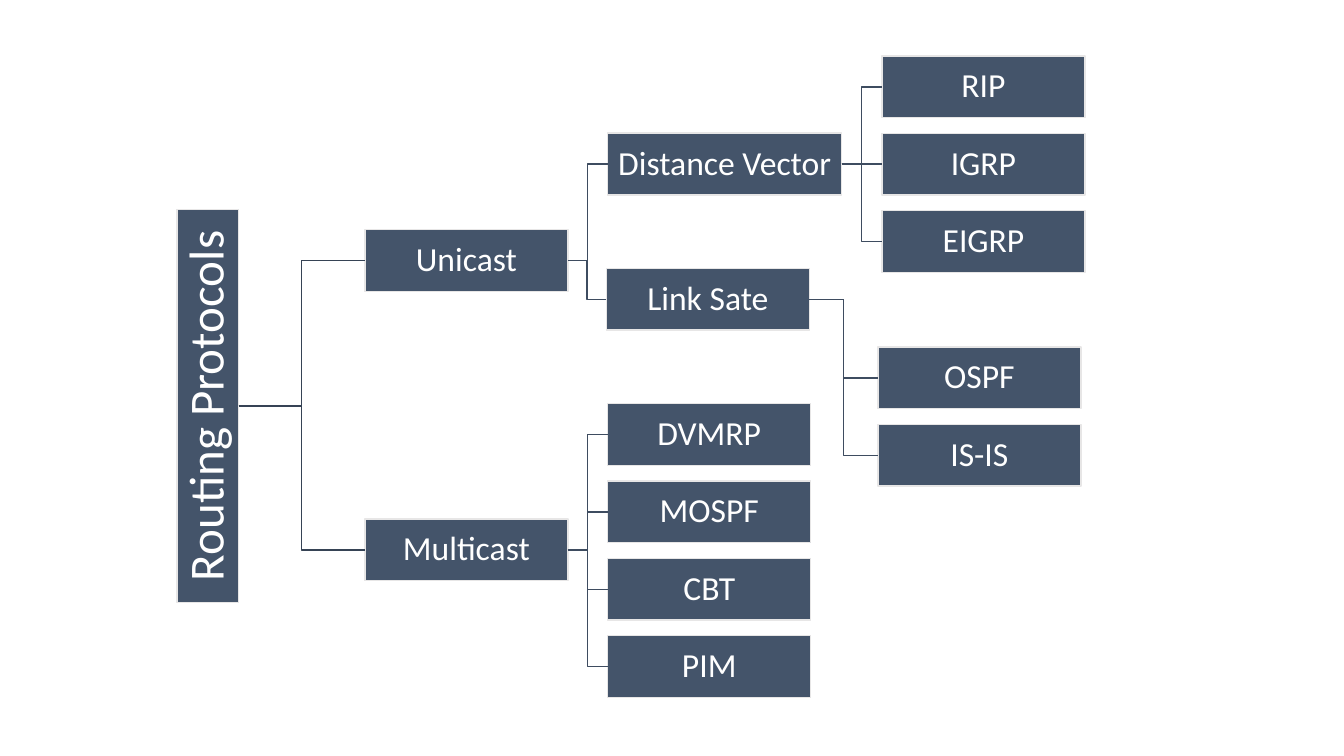
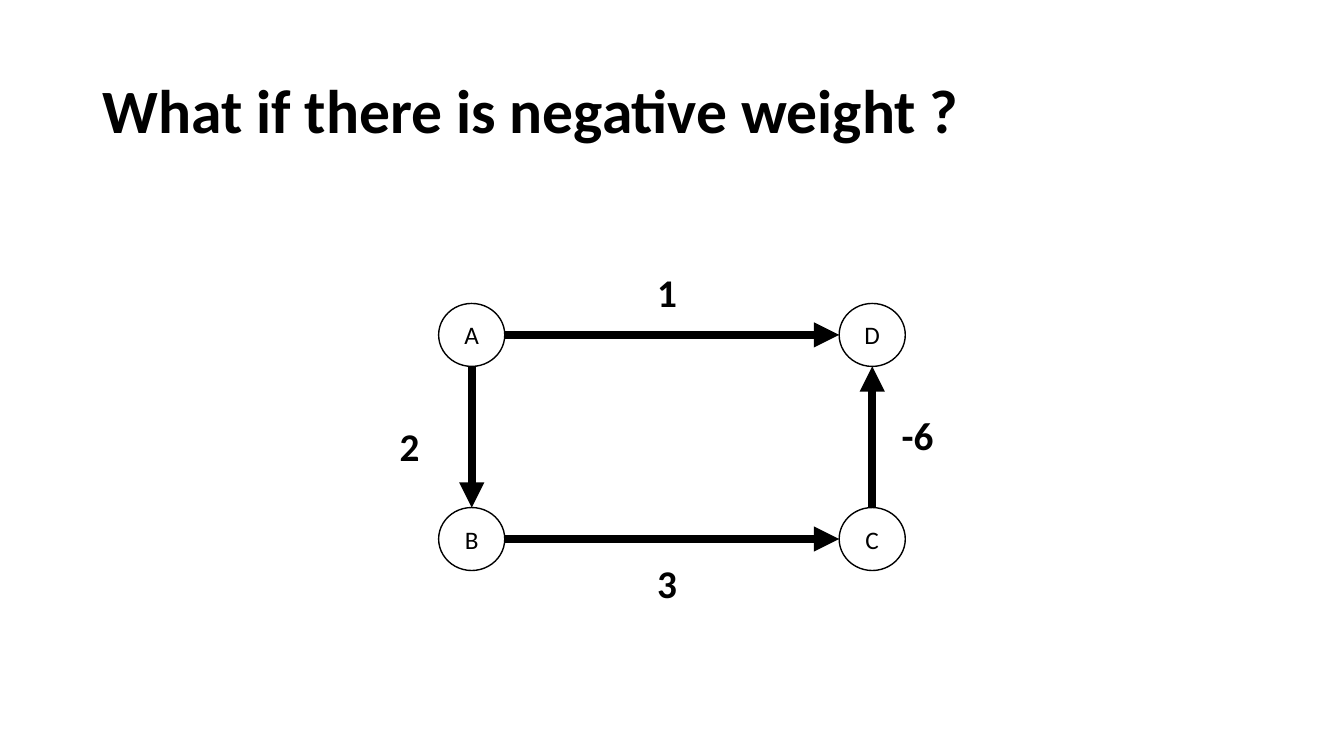
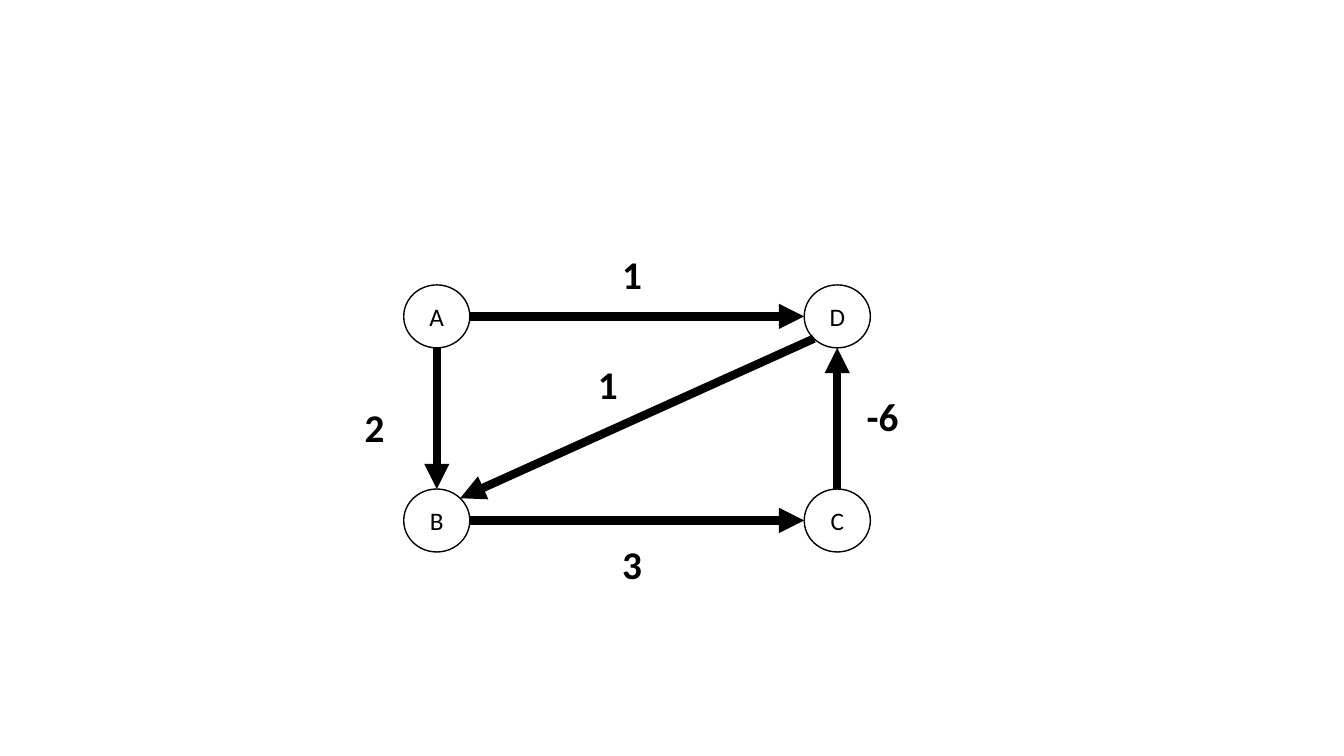
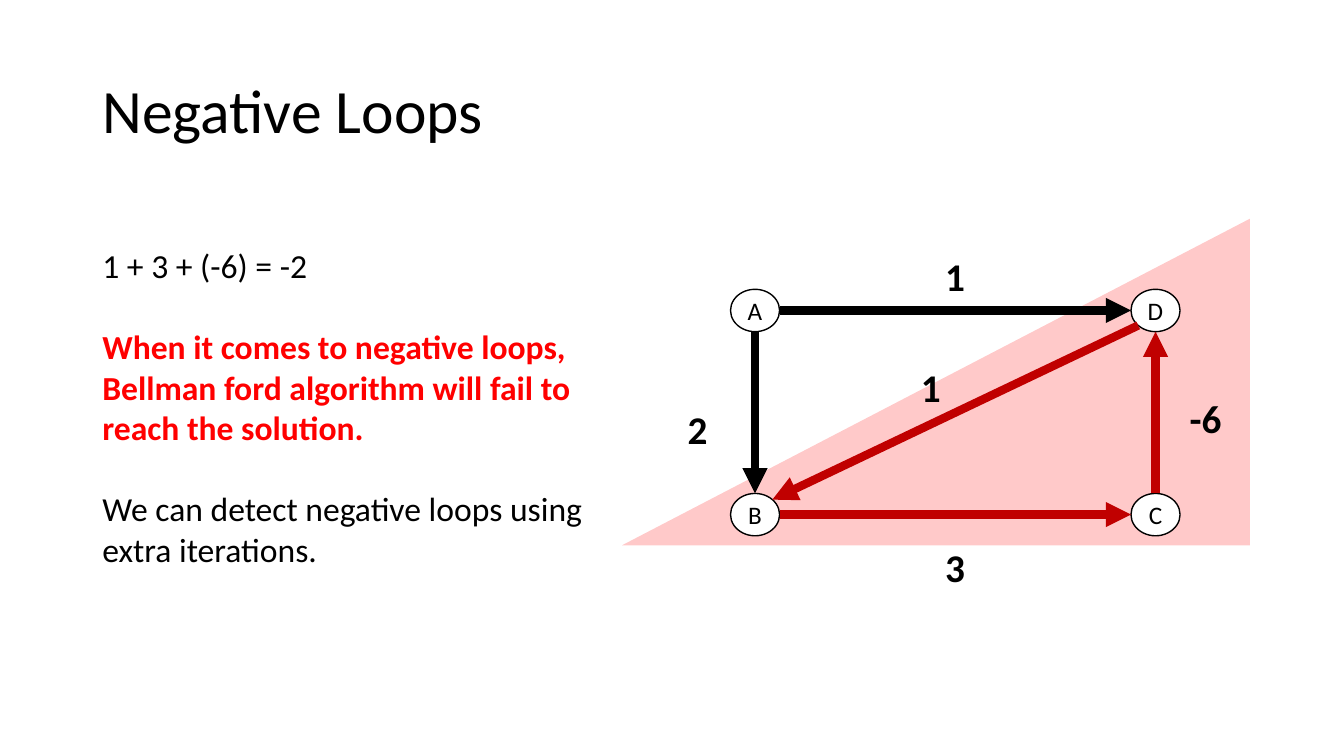
from math import sqrt

from pptx import Presentation
from pptx import util as u
from pptx.dml.color import RGBColor
from pptx.enum import shapes, text
from pptx.oxml import ns, xmlchemy
from pptx.shapes.connector import Connector

BLACK, WHITE, RED, DARK_RED = "000000", "FFFFFF", "FF0000", "C00000"
SLATE, PALE, ROOT_LINE, BRANCH_LINE = "44546A", "E7E6E6", "364355", "3E4C60"
FONT = "Calibri"
LEFT, CENTER = text.PP_ALIGN.LEFT, text.PP_ALIGN.CENTER
rgb = RGBColor.from_string

presentation = Presentation()
presentation.slide_width, presentation.slide_height = u.Inches(13.33), u.Inches(7.5)
blank = presentation.slide_layouts[6]


def grid(*lengths):
    """Turn column, row, column, row... of a 100 x 100 slide grid into EMU."""
    sides = (presentation.slide_width, presentation.slide_height)
    return [round(length * sides[i % 2] / 100) for i, length in enumerate(lengths)]


def write(shape, content, size, color=BLACK, bold=False, align=LEFT, spacing=1.0,
          anchor=text.MSO_ANCHOR.MIDDLE):
    frame = shape.text_frame
    frame.text = content
    frame.word_wrap = True
    frame.vertical_anchor = anchor
    for paragraph in frame.paragraphs:
        paragraph.alignment, paragraph.line_spacing = align, spacing
        font = paragraph.runs[0].font
        font.name, font.size, font.bold = FONT, u.Pt(size), bold
        font.color.rgb = rgb(color)


# Slide 1: protocol tree
BOX_WIDTH, BOX_HEIGHT = 15.1, 8.18
LEAF_PITCH = 1.25 * BOX_HEIGHT
# parent, left, first top, pitch, width, height, names
branches = [
    (None, 13.16, 27.7, 0, 4.6, 52, ["Routing Protocols"]),
    ("Routing Protocols", 27.15, 30.4, 38.25, BOX_WIDTH, BOX_HEIGHT, ["Unicast", "Multicast"]),
    ("Unicast", 45.22, 17.62, 0, 17.4, BOX_HEIGHT, ["Distance Vector"]),
    ("Unicast", 45.12, 35.5, 0, BOX_WIDTH, BOX_HEIGHT, ["Link Sate"]),
    ("Distance Vector", 65.62, 7.4, LEAF_PITCH, BOX_WIDTH, BOX_HEIGHT, ["RIP", "IGRP", "EIGRP"]),
    ("Link Sate", 65.32, 45.9, LEAF_PITCH, BOX_WIDTH, BOX_HEIGHT, ["OSPF", "IS-IS"]),
    ("Multicast", 45.22, 53.4, LEAF_PITCH, BOX_WIDTH, BOX_HEIGHT,
     ["DVMRP", "MOSPF", "CBT", "PIM"]),
]
slide = presentation.slides.add_slide(blank)
boxes = {}
for parent, left, top, pitch, width, height, names in branches:
    for row, name in enumerate(names):
        box = slide.shapes.add_shape(shapes.MSO_SHAPE.RECTANGLE,
                                     *grid(left, top + row * pitch, width, height))
        boxes[name] = box
        box.fill.solid()
        box.fill.fore_color.rgb = rgb(SLATE)
        box.line.color.rgb, box.line.width = rgb(PALE), u.Pt(1)
        write(box, name, 24 if parent else 35, WHITE, align=CENTER, spacing=0.9)
        frame = box.text_frame
        frame.margin_left = frame.margin_right = u.Inches(0.02)
        frame.margin_top = frame.margin_bottom = u.Inches(0.02)
        if parent is None:
            box.text_frame._txBody.bodyPr.set("vert", "vert270")
            continue
        link = slide.shapes.add_connector(shapes.MSO_CONNECTOR.ELBOW, 0, 0, 0, 0)
        link.begin_connect(boxes[parent], 3)
        link.end_connect(box, 1)
        color = ROOT_LINE if parent == "Routing Protocols" else BRANCH_LINE
        link.line.color.rgb, link.line.width = rgb(color), u.Pt(1)

# Slides 2 to 4: weighted graphs on two columns and two rows of nodes
COLUMN_PITCH, ROW_PITCH = 29.8, 27
cells = {"A": (0, 0), "D": (1, 0), "B": (0, 1), "C": (1, 1)}
# start, end, weight, label offset from the centre of node A
square = [
    ("A", "B", "2", -6.1, 10.85),
    ("A", "D", "1", 13.05, -9.4),
    ("B", "C", "3", 13.05, 29),
    ("C", "D", "-6", 31.25, 9.4),
]
looped = square + [("D", "B", "1", 11.25, 5.2)]
# title, bold, centre of A, node size, edges, label shift, edges of the loop
graphs = [
    ("What if there is negative weight ?", True, (35.1, 44.3), (4.92, 8.33), square, (0, 0), []),
    (None, False, (32.5, 41.85), (4.92, 8.33), looped, (0, 0), []),
    ("Negative Loops", False, (56.18, 41.07), (3.65, 5.6), looped, (0.35, 1.1),
     ["BC", "CD", "DB"]),
]
for title, bold, (x, y), (width, height), edges, (shift_x, shift_y), loop in graphs:
    slide = presentation.slides.add_slide(blank)

    # Shaded area behind the negative loop
    if loop:
        area = slide.shapes.add_shape(shapes.MSO_SHAPE.ISOSCELES_TRIANGLE,
                                      *grid(46.28, 28.93, 46.72, 43.2))
        area.adjustments[0] = 1
        area.fill.solid()
        area.fill.fore_color.rgb = rgb(RED)
        area.line.fill.background()
        tint = area.element.spPr.find(".//" + ns.qn("a:srgbClr"))
        tint.append(xmlchemy.OxmlElement("a:alpha"))
        tint[0].set("val", "21000")

    # Title
    if title:
        heading = slide.shapes.add_textbox(*grid(6.88, 5.33, 86.25, 19.33))
        write(heading, title, 44, bold=bold, spacing=0.9)

    # Nodes
    centers = {name: (x + column * COLUMN_PITCH, y + row * ROW_PITCH)
               for name, (column, row) in cells.items()}
    for name, (center_x, center_y) in centers.items():
        node = slide.shapes.add_shape(
            shapes.MSO_SHAPE.OVAL,
            *grid(center_x - width / 2, center_y - height / 2, width, height))
        node.fill.solid()
        node.fill.fore_color.rgb = rgb(WHITE)
        node.line.color.rgb, node.line.width = rgb(BLACK), u.Pt(1)
        write(node, name, 18, align=CENTER)
        node.text_frame.margin_left = node.text_frame.margin_right = 0

    # Arrows run from rim to rim, at 45 degrees on a diagonal
    for start, end, weight, label_x, label_y in edges:
        step_x, step_y = (b - a for a, b in zip(cells[start], cells[end]))
        reach = 0.5 / sqrt(abs(step_x) + abs(step_y))
        rim_x, rim_y = step_x * reach * width, step_y * reach * height
        (from_x, from_y), (to_x, to_y) = centers[start], centers[end]
        arrow = slide.shapes.add_connector(
            shapes.MSO_CONNECTOR.STRAIGHT,
            *grid(from_x + rim_x, from_y + rim_y, to_x - rim_x, to_y - rim_y))
        arrow.line.color.rgb = rgb(DARK_RED if start + end in loop else BLACK)
        arrow.line.width = u.Pt(6)
        tip = xmlchemy.OxmlElement("a:tailEnd")
        tip.set("type", "triangle")
        arrow.line._get_or_add_ln().append(tip)

        label = slide.shapes.add_textbox(
            *grid(x + label_x + shift_x, y + label_y + shift_y, 2.1 + 1.8 * len(weight), 7.6))
        write(label, weight, 28, bold=True, anchor=text.MSO_ANCHOR.TOP)

# Explanation on the last slide
note = slide.shapes.add_textbox(*grid(6.88, 31.73, 40.05, 44.4))
write(note, "1 + 3 + (-6) = -2\n"
      "When it comes to negative loops, Bellman ford algorithm will fail to reach the solution.\n"
      "We can detect negative loops using extra iterations.", 24, anchor=text.MSO_ANCHOR.TOP)
for paragraph in note.text_frame.paragraphs[1:]:
    paragraph.space_before = u.Pt(29.3)
warning = note.text_frame.paragraphs[1].runs[0].font
warning.bold, warning.color.rgb = True, rgb(RED)

# No shadows anywhere
for slide in presentation.slides:
    for shape in slide.shapes:
        if isinstance(shape, Connector):
            shape.element.spPr.append(xmlchemy.OxmlElement("a:effectLst"))
        else:
            shape.shadow.inherit = False

presentation.save("out.pptx")
